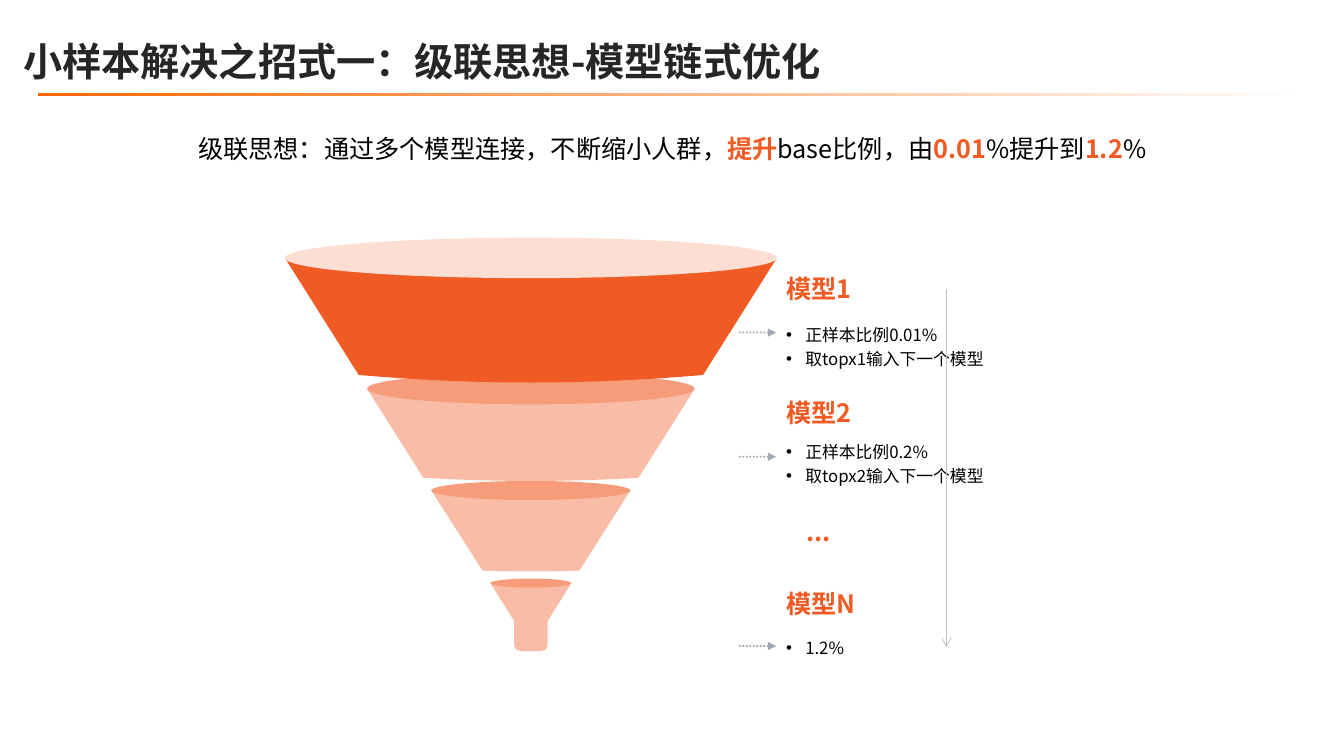
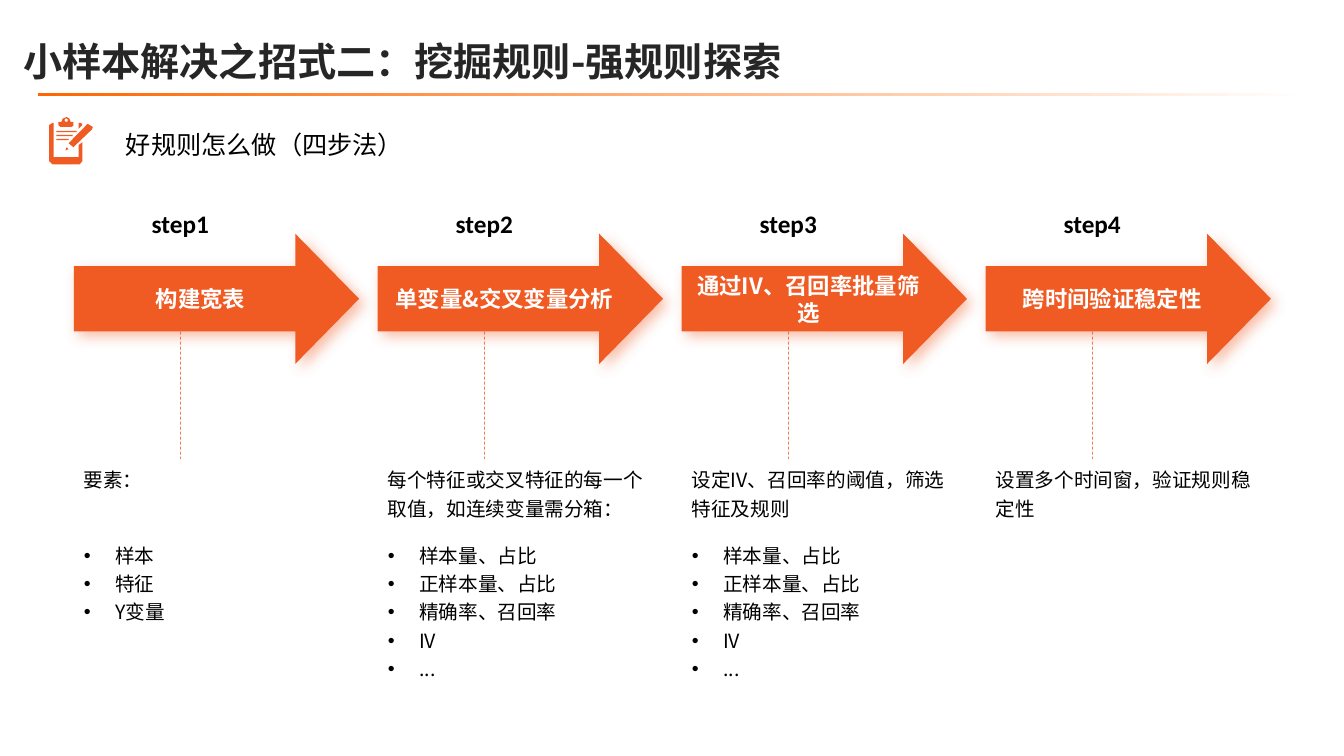
from dataclasses import dataclass, replace

from lxml.etree import SubElement
from pptx import Presentation
from pptx.dml.color import RGBColor
from pptx.enum.dml import MSO_LINE as Dash
from pptx.enum.shapes import MSO_CONNECTOR as Connector, MSO_SHAPE as Preset
from pptx.enum.text import MSO_ANCHOR as Anchor, MSO_AUTO_SIZE as AutoSize, PP_ALIGN as Align
from pptx.oxml.ns import qn
from pptx.util import Cm, Pt


@dataclass(frozen=True)
class Style:
    size: float
    color: str
    bold: bool = False
    font: str = "Noto Sans CJK SC"


@dataclass(frozen=True)
class Theme:
    accent: str = "F05A23"
    rim: str = "F69C7B"
    cone: str = "F9BDA7"
    top_rim: str = "FCDED3"
    white: str = "FFFFFF"
    pointer: str = "44546A"
    flow: str = "BFBFBF"
    east_asian: str = "Noto Sans CJK SC"
    band: tuple = ((0, "FFFFFF"), (50, "FFB380"), (75, "FF8D40"), (100, "FF6600"))
    title: Style = Style(28, "262626", True)
    lead: Style = Style(18, "000000")
    strong: Style = Style(18, "F05A23", True)
    small: Style = Style(12, "000000")
    body: Style = Style(14, "000000")
    step: Style = Style(18, "000000", True, "Calibri")
    arrow: Style = Style(16, "FFFFFF", True)


@dataclass(frozen=True)
class Tier:
    half_top: float
    half_bottom: float
    rim_top: float
    rim_height: float
    bottom: float
    sag: float
    cone: str
    rim: str
    neck: float = 0


THEME = Theme()

FUNNEL_AXIS = 13.38
FUNNEL = (
    Tier(1.02, 0.42, 14.58, 0.23, 15.65, 0, THEME.cone, THEME.rim, 0.76),
    Tier(2.51, 1.22, 12.12, 0.48, 14.38, 0.02, THEME.cone, THEME.rim),
    Tier(4.13, 2.71, 9.4, 0.79, 12.04, 0.08, THEME.cone, THEME.rim),
    Tier(6.2, 4.34, 5.99, 1.02, 9.45, 0.19, THEME.accent, THEME.top_rim),
)

MODELS = (
    ("模型1", 6.48, 7.95, 8.38, ("正样本比例0.01%", "取topx1输入下一个模型")),
    ("模型2", 9.6, 10.9, 11.51, ("正样本比例0.2%", "取topx2输入下一个模型")),
    ("模型N", 14.4, 15.85, 16.28, ("1.2%",)),
)

RULE_MEASURES = ("样本量、占比", "正样本量、占比", "精确率、召回率", "IV", "...")
STEPS = (
    ("构建宽表", "要素：", ("样本", "特征", "Y变量")),
    ("单变量&交叉变量分析", "每个特征或交叉特征的每一个取值，如连续变量需分箱：", RULE_MEASURES),
    ("通过IV、召回率批量筛选", "设定IV、召回率的阈值，筛选特征及规则", RULE_MEASURES),
    ("跨时间验证稳定性", "设置多个时间窗，验证规则稳定性", ()),
)

CLIPBOARD = (
    ((1.47, 3.07), (1.55, 3.07), (1.58, 2.99), (1.68, 2.95), (1.75, 2.99), (1.78, 3.07),
     (1.85, 3.07), (1.85, 3.17), (1.8, 3.2), (1.52, 3.2), (1.47, 3.15)),
    ((1.98, 3.1), (2.05, 3.1), (2.08, 3.15), (1.98, 3.25)),
    ((1.32, 3.1), (1.35, 3.1), (1.35, 3.96), (1.98, 3.96), (1.98, 3.66), (2.08, 3.58),
     (2.08, 4.06), (2.01, 4.14), (1.32, 4.14), (1.24, 4.06), (1.24, 3.15)),
    ((2.21, 3.12), (2.34, 3.2), (2.32, 3.26), (1.85, 3.71), (1.73, 3.61)),
    ((1.68, 3.71), (1.73, 3.76), (1.65, 3.79)),
)


def rgb(color):
    return RGBColor.from_string(color)


def place(shape, box):
    shape.left, shape.top, shape.width, shape.height = map(Cm, box)


def paint(shape, color):
    shape.shadow.inherit = False
    shape.fill.solid()
    shape.fill.fore_color.rgb = rgb(color)
    shape.line.fill.background()
    return shape


def add_run(paragraph, text, style):
    run = paragraph.add_run()
    run.text = text
    run.font.name = style.font
    run.font.size = Pt(style.size)
    run.font.bold = style.bold
    run.font.color.rgb = rgb(style.color)
    SubElement(run.font._element, qn("a:ea"), typeface=THEME.east_asian)


def set_bullet(paragraph, margin, hanging):
    properties = paragraph._p.get_or_add_pPr()
    properties.set("marL", str(Cm(margin)))
    properties.set("indent", str(-Cm(margin) if hanging else 0))
    if hanging:
        SubElement(properties, qn("a:buFont"), typeface="Arial")
        SubElement(properties, qn("a:buChar"), char="•")
    else:
        SubElement(properties, qn("a:buNone"))


def write(shape, paragraphs, anchor=Anchor.TOP, align=Align.LEFT, spacing=1.0,
          margin=0, hanging=False):
    frame = shape.text_frame
    frame.word_wrap = True
    frame.auto_size = AutoSize.NONE
    frame.vertical_anchor = anchor
    for index, runs in enumerate(paragraphs):
        paragraph = frame.add_paragraph() if index else frame.paragraphs[0]
        set_bullet(paragraph, margin, hanging)
        paragraph.alignment = align
        paragraph.line_spacing = spacing
        paragraph.space_before = paragraph.space_after = Pt(0)
        for text, style in runs:
            add_run(paragraph, text, style)


def add_label(slide, box, text, style, **layout):
    write(slide.shapes.add_textbox(*map(Cm, box)), [[(text, style)]], **layout)


def fill_list(body, box, items, style, margin):
    place(body, box)
    write(body, [[(item, style)] for item in items], spacing=1.2, margin=margin, hanging=True)


def add_preset(slide, preset, box, color):
    return paint(slide.shapes.add_shape(preset, *map(Cm, box)), color)


def add_polygon(slide, points, color):
    start, *others = [(Cm(x), Cm(y)) for x, y in points]
    outline = slide.shapes.build_freeform(*start)
    outline.add_line_segments(others, close=True)
    return paint(outline.convert_to_shape(), color)


def add_line(slide, start, end, color, width, dash=None, opacity=100, head=None):
    line = slide.shapes.add_connector(Connector.STRAIGHT, *map(Cm, start + end))
    line.line.width = Pt(width)
    line.line.color.rgb = rgb(color)
    if dash is not None:
        line.line.dash_style = dash
    stroke = line.line._get_or_add_ln()
    if opacity < 100:
        tint = stroke.find(".//" + qn("a:srgbClr"))
        SubElement(tint, qn("a:alpha"), val=str(opacity * 1000))
    if head:
        SubElement(stroke, qn("a:tailEnd"), type=head)
    SubElement(line._element.spPr, qn("a:effectLst"))


def add_glow(shape, color):
    effects = shape._element.spPr.find(qn("a:effectLst"))
    shadow = SubElement(effects, qn("a:outerShdw"), blurRad=str(Pt(10)), dist=str(Pt(5)),
                        dir=str(45 * 60000), algn="tl", rotWithShape="0")
    tint = SubElement(shadow, qn("a:srgbClr"), val=color)
    SubElement(tint, qn("a:alpha"), val="40000")


def add_band(slide):
    band = add_preset(slide, Preset.RECTANGLE, (0.97, 2.34, 32, 0.08), THEME.white)
    band.fill.gradient()
    band.fill.gradient_angle = 180
    stops = band._element.spPr.find(".//" + qn("a:gsLst"))
    stops.clear()
    for position, color in THEME.band:
        stop = SubElement(stops, qn("a:gs"), pos=str(position * 1000))
        SubElement(stop, qn("a:srgbClr"), val=color)


def start_slide(deck, heading):
    slide = deck.slides.add_slide(deck.slide_layouts.get_by_name("Comparison"))
    title, *bodies = slide.placeholders
    place(title, (0.33, 0.2, 32.64, 2.41))
    write(title, [[(heading, THEME.title)]], anchor=Anchor.MIDDLE, spacing=1.2)
    add_band(slide)
    return slide, bodies


def add_tier(slide, tier):
    if tier.neck:
        foot = tier.bottom + tier.neck
        right = [(tier.half_bottom, tier.bottom), (tier.half_bottom, foot - 0.13),
                 (tier.half_bottom - 0.05, foot - 0.04), (tier.half_bottom - 0.17, foot)]
        base = right + [(-x, y) for x, y in reversed(right)]
    else:
        parts = [step / 16 for step in range(17)]
        base = [(tier.half_bottom * (1 - 2 * t), tier.bottom + 4 * tier.sag * t * (1 - t))
                for t in parts]
    top = tier.rim_top + tier.rim_height / 2
    outline = [(-tier.half_top, top), (tier.half_top, top)] + base
    add_polygon(slide, [(FUNNEL_AXIS + x, y) for x, y in outline], tier.cone)
    rim = (FUNNEL_AXIS - tier.half_top, tier.rim_top, 2 * tier.half_top, tier.rim_height)
    add_preset(slide, Preset.OVAL, rim, tier.rim)


def add_clipboard(slide):
    for points in CLIPBOARD:
        add_polygon(slide, points, THEME.accent)
    add_preset(slide, Preset.OVAL, (1.63, 2.99, 0.08, 0.08), THEME.white)
    for row in range(3):
        box = (1.42, 3.3 + 0.1 * row, 0.51 - 0.1 * row, 0.03)
        add_preset(slide, Preset.RECTANGLE, box, THEME.accent)


def build_cascade(deck):
    slide, (lead, *lists) = start_slide(deck, "小样本解决之招式一：级联思想-模型链式优化")
    place(lead, (1.88, 3.1, 30.12, 1.27))
    write(lead, [[
        ("级联思想：通过多个模型连接，不断缩小人群，", THEME.lead),
        ("提升", THEME.strong),
        ("base比例，由", THEME.lead),
        ("0.01", THEME.strong),
        ("%提升到", THEME.lead),
        ("1.2", THEME.strong),
        ("%", THEME.lead),
    ]], anchor=Anchor.MIDDLE, align=Align.CENTER)
    for tier in FUNNEL:
        add_tier(slide, tier)
    for (name, name_top, list_top, pointer_y, facts), body in zip(MODELS, lists):
        add_label(slide, (19.56, name_top, 8.89, 1.3), name, THEME.strong, anchor=Anchor.BOTTOM)
        fill_list(body, (19.56, list_top, 7.11, 0.25 + 0.61 * len(facts)), facts, THEME.small, 0.48)
        add_line(slide, (18.62, pointer_y), (19.56, pointer_y), THEME.pointer, 1.25,
                 Dash.ROUND_DOT, 50, "triangle")
    add_label(slide, (20.07, 12.6, 2.82, 1.3), "...", THEME.strong, anchor=Anchor.BOTTOM)
    add_line(slide, (23.85, 7.29), (23.85, 16.31), THEME.flow, 0.5, head="arrow")


def add_step(slide, number, action, detail):
    left = 1.86 + 7.66 * (number - 1)
    add_line(slide, (left + 2.69, 7.98), (left + 2.69, 11.56), THEME.accent, 0.5, Dash.DASH, 80)
    arrow = add_preset(slide, Preset.RIGHT_ARROW, (left, 5.89, 7.19, 3.28), THEME.accent)
    arrow.adjustments[0], arrow.adjustments[1] = 0.5, 0.49
    add_glow(arrow, THEME.accent)
    write(arrow, [[(action, THEME.arrow)]], anchor=Anchor.MIDDLE, align=Align.CENTER)
    add_label(slide, (left + 0.68, 5.13, 4.01, 1.02), f"step{number}", THEME.step,
              anchor=Anchor.MIDDLE, align=Align.CENTER)
    add_label(slide, (left, 11.56, 7.19, 1.9), detail, THEME.body, spacing=1.2)
    return left


def build_rules(deck):
    slide, (lead, *lists) = start_slide(deck, "小样本解决之招式二：挖掘规则-强规则探索")
    place(lead, (2.62, 3.12, 11.28, 1.02))
    write(lead, [[("好规则怎么做（四步法）", replace(THEME.lead, font="Arial"))]], margin=0.3)
    add_clipboard(slide)
    bodies = iter(lists)
    for number, (action, detail, items) in enumerate(STEPS, 1):
        left = add_step(slide, number, action, detail)
        if items:
            box = (left, 13.46, 7.19, 0.25 + 0.74 * len(items))
            fill_list(next(bodies), box, items, THEME.body, 0.79)


def main():
    deck = Presentation()
    deck.slide_width, deck.slide_height = Cm(33.87), Cm(19.05)
    build_cascade(deck)
    build_rules(deck)
    deck.save("out.pptx")


if __name__ == "__main__":
    main()
